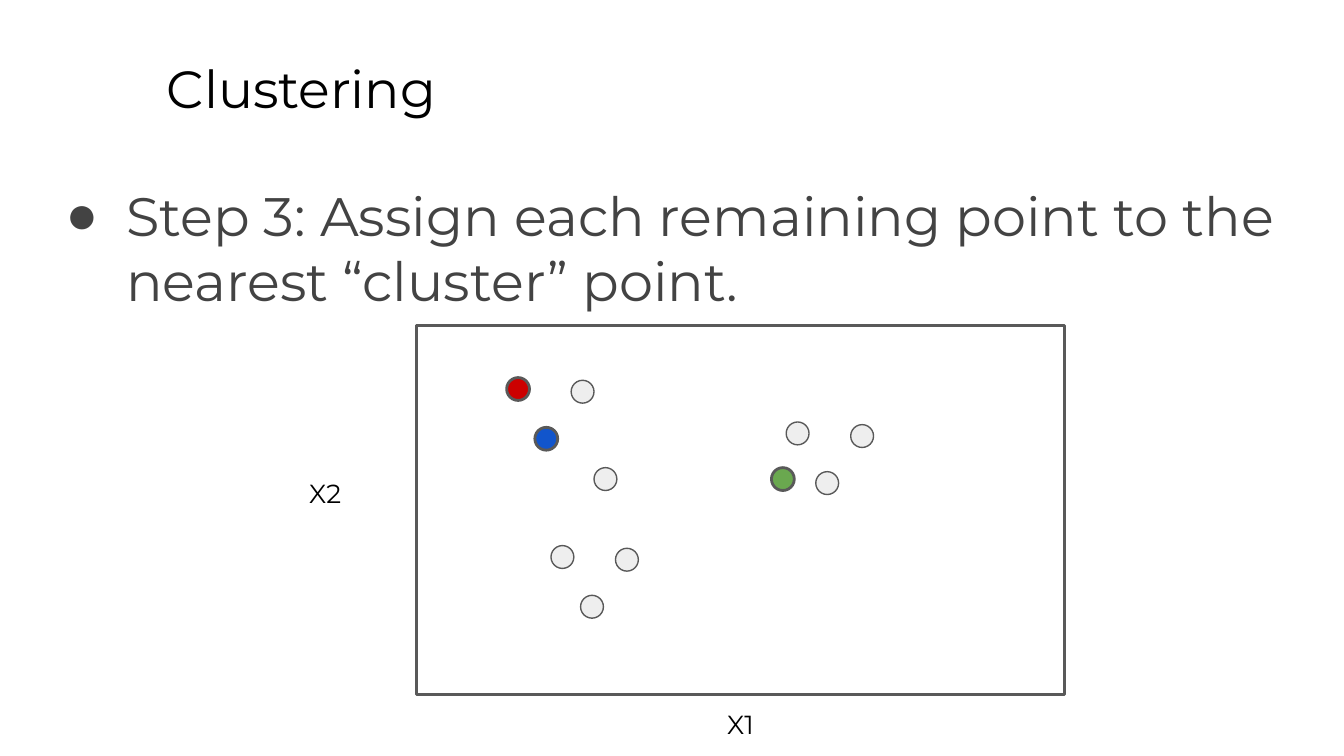
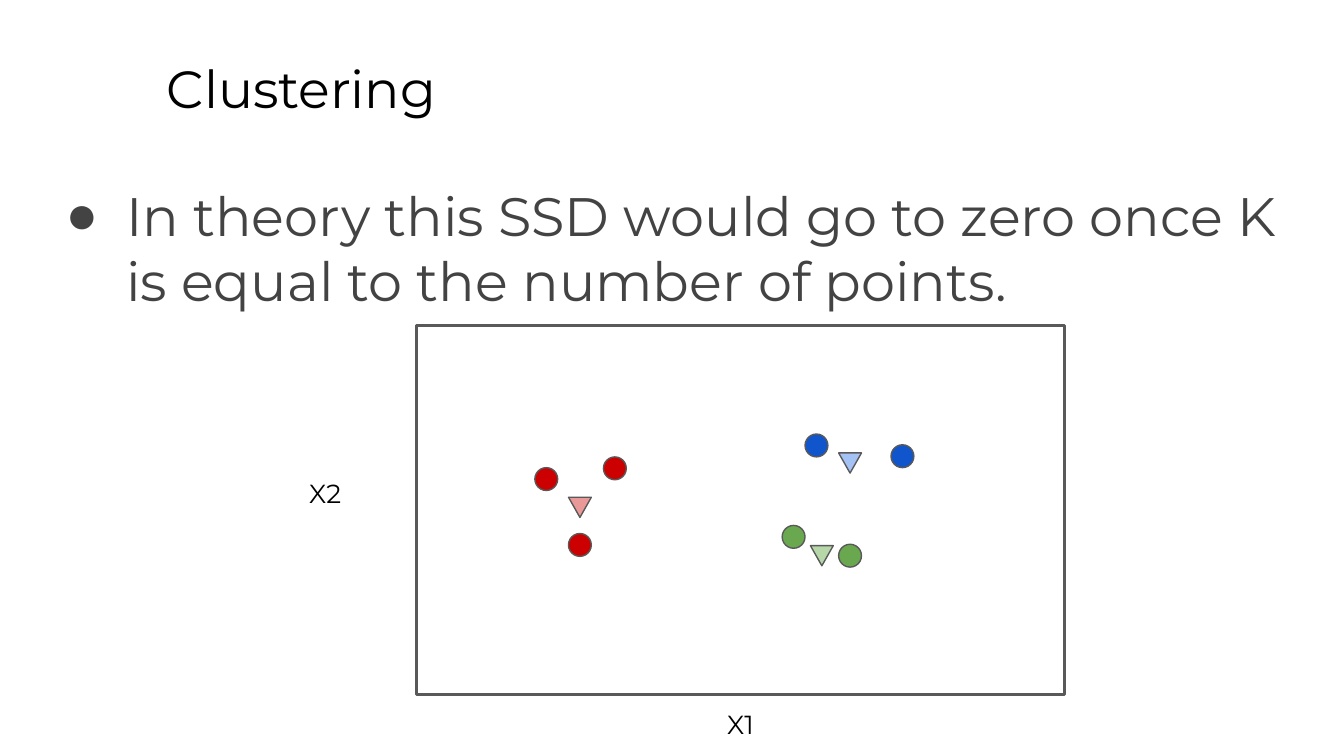
from lxml import etree
from pptx import Presentation
from pptx.dml.color import RGBColor
from pptx.enum.shapes import MSO_SHAPE
from pptx.enum.text import MSO_ANCHOR, PP_ALIGN
from pptx.oxml.ns import qn
from pptx.util import Inches, Pt

CIRCLE = MSO_SHAPE.OVAL
TRIANGLE = MSO_SHAPE.ISOSCELES_TRIANGLE
RECTANGLE = MSO_SHAPE.RECTANGLE
LEFT, CENTER = PP_ALIGN.LEFT, PP_ALIGN.CENTER

FONT, BULLET_FONT = "Montserrat", "Arial"
COLORS = {
    "title": "000000", "body": "434343", "outline": "595959", "background": "FFFFFF",
    "unassigned": "EEEEEE", "red": "CC0000", "blue": "1155CC", "green": "6AA84F",
    "light red": "EA9999", "light blue": "A4C2F4", "light green": "B6D7A8",
}

TITLE = "Clustering"
PLOT_AREA = (3.1, 2.42, 4.82, 2.75)
AXIS_LABELS = [("X1", 4.87, 5.17), ("X2", 1.78, 3.45)]
AXIS_LABEL_SIZE = (1.28, 0.22)
POINT_SIZE = (0.17, 0.17)
CENTROID_SIZE = (0.17, 0.15)
THIN, THICK = 0.75, 1.5

# Marker positions are the left and top of each marker, grouped by colour.
SLIDES = [
    {
        "statement": "Step 3: Assign each remaining point to the nearest “cluster” point.",
        "points": {
            "unassigned": [(4.25, 2.83), (4.42, 3.48), (4.1, 4.06), (4.58, 4.08),
                           (4.32, 4.43), (5.85, 3.14), (6.33, 3.16), (6.07, 3.51)],
        },
        "seeds": {"red": [(3.77, 2.81)], "blue": [(3.98, 3.18)], "green": [(5.74, 3.48)]},
        "centroids": {},
    },
    {
        "statement": "In theory this SSD would go to zero once K is equal to the number of points.",
        "points": {
            "red": [(3.98, 3.48), (4.49, 3.4), (4.23, 3.97)],
            "blue": [(5.99, 3.23), (6.63, 3.31)],
            "green": [(6.24, 4.05), (5.82, 3.91)],
        },
        "seeds": {},
        "centroids": {"light red": [(4.23, 3.7)], "light green": [(6.03, 4.06)],
                      "light blue": [(6.24, 3.37)]},
    },
]


def rgb(name):
    return RGBColor.from_string(COLORS[name])


def add_text(slide, text, box, size, color="title", align=LEFT, bullet=None):
    frame = slide.shapes.add_textbox(*map(Inches, box)).text_frame
    frame.word_wrap = True
    frame.vertical_anchor = MSO_ANCHOR.TOP
    frame.margin_left = frame.margin_right = Inches(0.1)
    frame.margin_top = frame.margin_bottom = Inches(0.1)
    paragraph = frame.paragraphs[0]
    paragraph.alignment = align
    run = paragraph.add_run()
    run.text = text
    run.font.name = FONT
    run.font.size = Pt(size)
    run.font.color.rgb = rgb(color)
    if bullet:
        properties = paragraph._p.get_or_add_pPr()
        properties.set("marL", str(Inches(0.5)))
        properties.set("indent", str(Inches(-0.45)))
        bullet_color = etree.SubElement(properties, qn("a:buClr"))
        etree.SubElement(bullet_color, qn("a:srgbClr"), val=COLORS[color])
        etree.SubElement(properties, qn("a:buFont"), typeface=BULLET_FONT)
        etree.SubElement(properties, qn("a:buChar"), char=bullet)


def add_outlined(slide, kind, box, line_width, fill=None, rotation=0):
    shape = slide.shapes.add_shape(kind, *map(Inches, box))
    shape.shadow.inherit = False
    shape.rotation = rotation
    if fill:
        shape.fill.solid()
        shape.fill.fore_color.rgb = rgb(fill)
    else:
        shape.fill.background()
    shape.line.color.rgb = rgb("outline")
    shape.line.width = Pt(line_width)


def add_markers(slide, groups, kind, size, line_width, rotation=0):
    for color, positions in groups.items():
        for position in positions:
            add_outlined(slide, kind, position + size, line_width, color, rotation)


def add_clustering_slide(deck, content):
    slide = deck.slides.add_slide(deck.slide_layouts[6])
    slide.background.fill.solid()
    slide.background.fill.fore_color.rgb = rgb("background")
    add_text(slide, TITLE, (1.14, 0.32, 8.52, 0.63), 28)
    add_text(slide, content["statement"], (0.34, 1.26, 9.5, 1.26), 29,
             color="body", bullet="●")
    for label, left, top in AXIS_LABELS:
        add_text(slide, label, (left, top) + AXIS_LABEL_SIZE, 14, align=CENTER)
    add_outlined(slide, RECTANGLE, PLOT_AREA, THICK)
    add_markers(slide, content["points"], CIRCLE, POINT_SIZE, THIN)
    add_markers(slide, content["seeds"], CIRCLE, POINT_SIZE, THICK)
    add_markers(slide, content["centroids"], TRIANGLE, CENTROID_SIZE, THIN, rotation=180)


def main():
    deck = Presentation()
    deck.slide_width = Inches(10)
    deck.slide_height = deck.slide_width * 9 // 16
    for content in SLIDES:
        add_clustering_slide(deck, content)
    deck.save("out.pptx")


if __name__ == "__main__":
    main()
